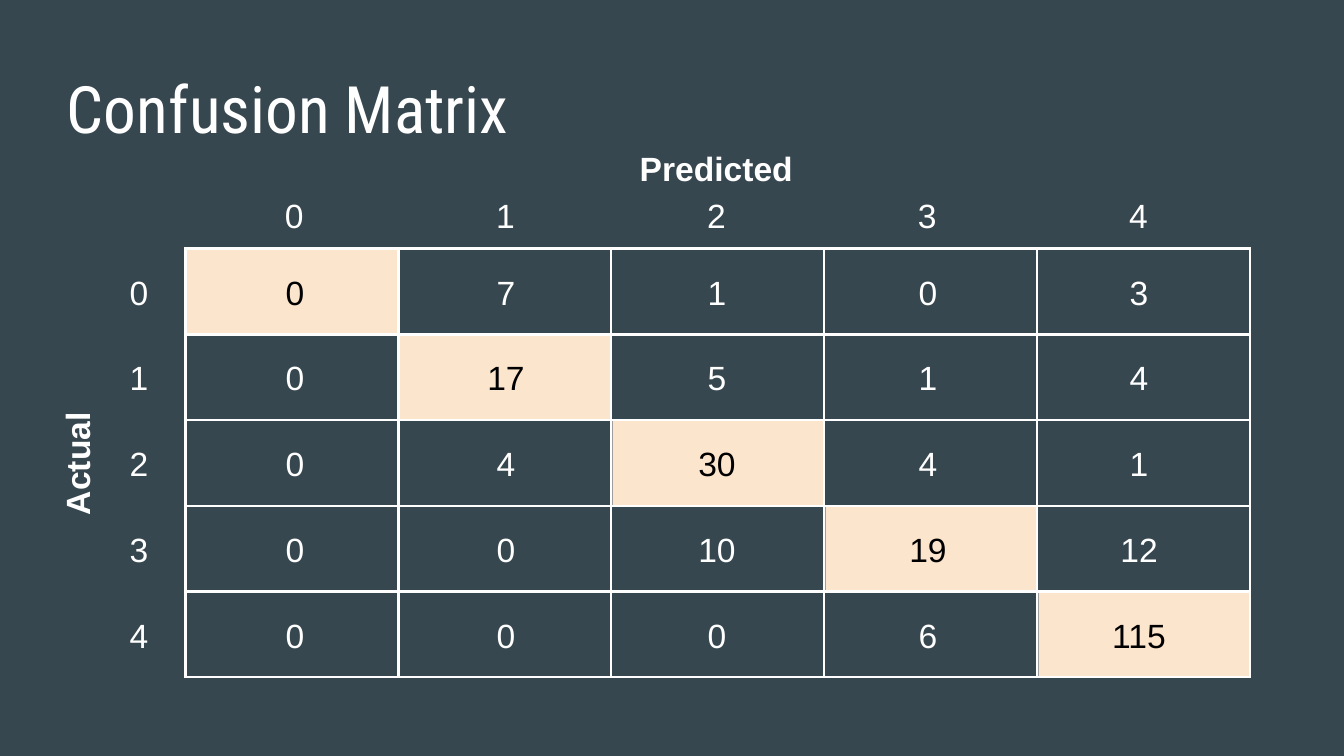
from lxml import etree
from pptx import Presentation
from pptx.dml.color import RGBColor
from pptx.enum.shapes import MSO_SHAPE
from pptx.enum.text import MSO_ANCHOR, PP_ALIGN
from pptx.oxml.ns import qn
from pptx.util import Inches, Pt

RECT = MSO_SHAPE.RECTANGLE
TOP, MIDDLE = MSO_ANCHOR.TOP, MSO_ANCHOR.MIDDLE
LEFT, CENTER = PP_ALIGN.LEFT, PP_ALIGN.CENTER
COLORS = {"back": "37474F", "white": "FFFFFF", "black": "000000",
          "peach": "FCE5CD", "gray": "9E9E9E"}
MATRIX = [
    [0, 7, 1, 0, 3],
    [0, 17, 5, 1, 4],
    [0, 4, 30, 4, 1],
    [0, 0, 10, 19, 12],
    [0, 0, 0, 6, 115],
]


class Deck:
    """Holds the style and the current slide, and draws each kind of element."""

    def __init__(self):
        self.show = Presentation()
        self.show.slide_width = Inches(10)
        self.show.slide_height = Inches(10 * 9 / 16)
        self.slide = self.show.slides.add_slide(self.show.slide_layouts[6])
        self.paint(self.slide.background.fill, "back")

    def paint(self, fill, color):
        fill.solid()
        fill.fore_color.rgb = RGBColor.from_string(COLORS[color])

    def text(self, words, x, y, w, h=0.5, size=18, font="Arial", color="white",
             bold=False, align=CENTER, anchor=TOP, turn=0):
        box = self.slide.shapes.add_textbox(Inches(x), Inches(y), Inches(w), Inches(h))
        box.rotation = turn
        frame = box.text_frame
        frame.word_wrap = True
        frame.vertical_anchor = anchor
        frame.margin_left = frame.margin_right = Inches(0.1)
        frame.margin_top = frame.margin_bottom = Inches(0.1)
        line = frame.paragraphs[0]
        line.alignment = align
        run = line.add_run()
        run.text = str(words)
        run.font.size = Pt(size)
        run.font.name = font
        run.font.bold = bold
        run.font.color.rgb = RGBColor.from_string(COLORS[color])

    def tile(self, x, y, w, h):
        shape = self.slide.shapes.add_shape(RECT, Inches(x), Inches(y), Inches(w), Inches(h))
        shape.shadow.inherit = False
        self.paint(shape.fill, "peach")
        shape.line.color.rgb = RGBColor.from_string(COLORS["gray"])
        shape.line.width = Pt(0.75)

    def border(self, cell):
        props = cell._tc.get_or_add_tcPr()
        for side in ("a:lnL", "a:lnR", "a:lnT", "a:lnB"):
            edge = etree.SubElement(props, qn(side), w=str(Pt(1.5)))
            fill = etree.SubElement(edge, qn("a:solidFill"))
            etree.SubElement(fill, qn("a:srgbClr"), val=COLORS["white"])

    def grid(self, count, x, y, w, h):
        frame = self.slide.shapes.add_table(count, count, Inches(x), Inches(y),
                                            Inches(w), Inches(h))
        table = frame.table
        table.first_row = table.horz_banding = False
        for cell in table.iter_cells():
            self.border(cell)
            cell.fill.background()


def main():
    deck = Deck()
    size = len(MATRIX)
    width, height = 7.92, 3.19
    wide, high = width / size, height / size
    for i in range(size):
        deck.tile(1.39 + i * wide, 1.85 + i * high, 1.57, high)
    deck.text("Confusion Matrix", 0.4, 0.43, 9.32, 0.74, size=35,
              font="Roboto Condensed", align=LEFT, anchor=MIDDLE)
    deck.grid(size, 1.38, 1.85, width, height)
    deck.text("Predicted", 2.41, 1, 5.84, bold=True)
    deck.text("Actual", -2.35, 3.2, 5.84, bold=True, turn=270)

    step = 1.57
    for i, row in enumerate(MATRIX):
        top = 1.92 + i * high
        deck.text(i, 1.65 + i * step, 1.35, 1.08)
        deck.text(i, 0.7, top, 0.67)
        for j, value in enumerate(row):
            deck.text(value, 1.86 + j * step, top, 0.67,
                      color="black" if i == j else "white")
    deck.show.save("out.pptx")


if __name__ == "__main__":
    main()
